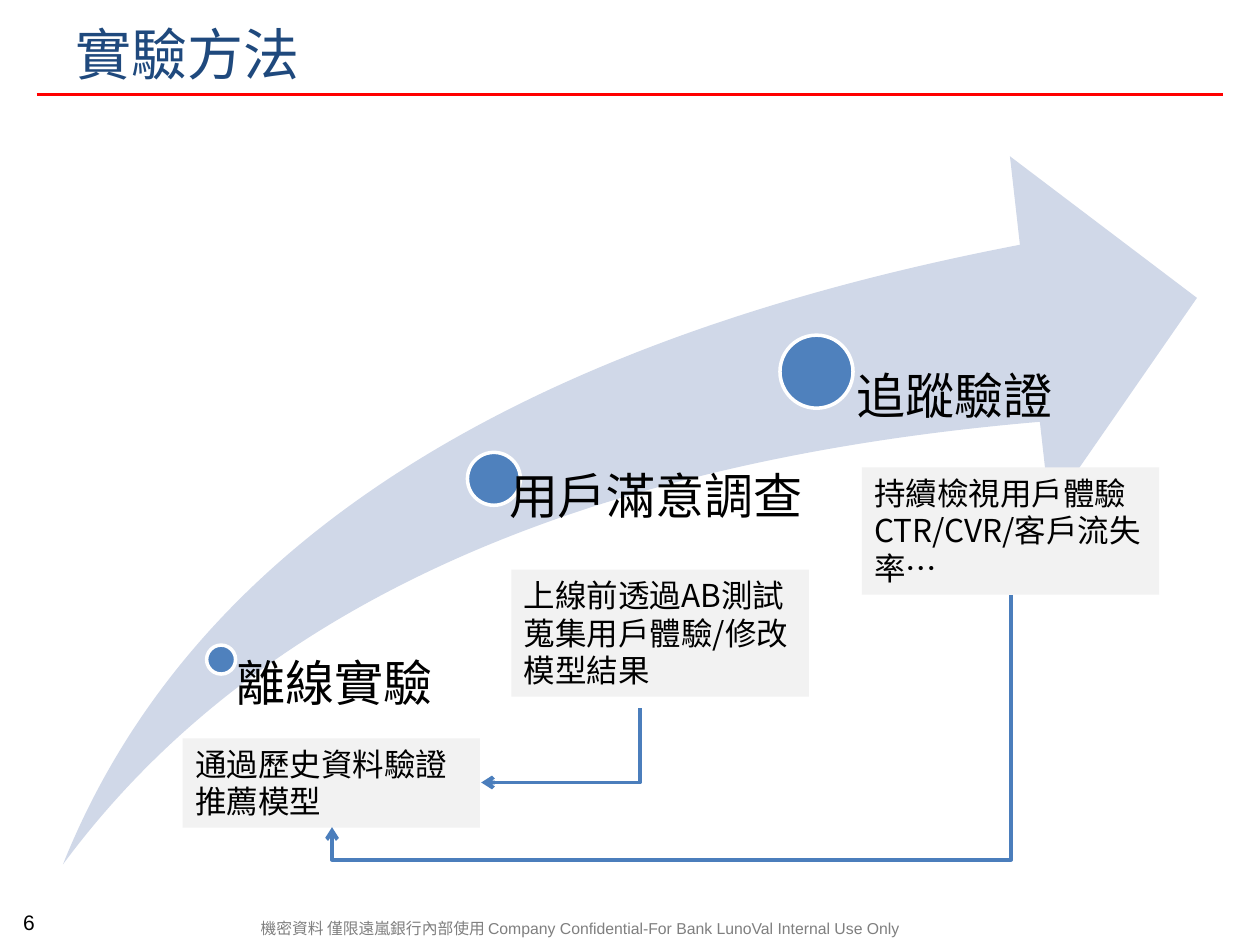
import pptx
import pptx.util
import pptx.dml.color
import pptx.enum.shapes
import pptx.enum.text
import pptx.oxml.ns
import pptx.oxml.xmlchemy

Inches = pptx.util.Inches
Pt = pptx.util.Pt
KIND = pptx.enum.shapes.MSO_SHAPE
LINK = pptx.enum.shapes.MSO_CONNECTOR
ANCHOR = pptx.enum.text.MSO_ANCHOR
ALIGN = pptx.enum.text.PP_ALIGN
qn = pptx.oxml.ns.qn

HUES = {
    "title": "1F497D", "rule": "FF0000", "swoosh": "D0D8E8", "dot": "4F81BD",
    "ring": "FFFFFF", "note": "F2F2F2", "link": "4B7EBC", "text": "000000",
    "foot": "7F7F7F",
}
CJK = "Noto Sans CJK SC"
NOTE = (2.36, 1.01)

STEPS = [
    ("離線實驗", (1.64, 5.12, 0.23), (1.76, 5.23, 2.1, 1.63), 0.12),
    ("用戶滿意調查", (3.71, 3.59, 0.42), (3.82, 3.75, 2.99, 3.06), 0.22),
    ("追蹤驗證", (6.19, 2.66, 0.58), (6.49, 2.95, 2.16, 3.91), 0.31),
]
NOTES = [
    (["通過歷史資料驗證推薦模型"], (1.45, 5.86, NOTE[0], 0.71)),
    (["上線前透過AB測試蒐集用戶體驗/修改模型結果"], (4.06, 4.52, *NOTE)),
    (["持續檢視用戶體驗", "CTR/CVR/客戶流失率…"], (6.84, 3.71, *NOTE)),
]


def rgb(name):
    return pptx.dml.color.RGBColor.from_string(HUES[name])


def assign(target, values):
    for key, value in values.items():
        setattr(target, key, value)


def node(tag, **values):
    item = pptx.oxml.xmlchemy.OxmlElement(tag)
    for key, value in values.items():
        item.set(key, value)
    return item


def write(shape, lines, size, hue="text", font=CJK, inset=(0.1, 0.05, 0.1, 0.05),
          anchor=ANCHOR.TOP, align=ALIGN.LEFT, space=None):
    frame = shape.text_frame
    left, top, right, base = map(Inches, inset)
    assign(frame, {
        "word_wrap": True, "vertical_anchor": anchor, "margin_left": left,
        "margin_top": top, "margin_right": right, "margin_bottom": base,
    })
    for i, line in enumerate(lines):
        para = frame.add_paragraph() if i else frame.paragraphs[0]
        assign(para, {"alignment": align, "line_spacing": space})
        run = para.add_run()
        run.text = line
        assign(run.font, {"size": Pt(size), "name": font})
        run.font.color.rgb = rgb(hue)
        run.font._element.find(qn("a:latin")).addnext(node("a:ea", typeface=CJK))


def label(slide, box, lines, size, **style):
    write(slide.shapes.add_textbox(*map(Inches, box)), lines, size, **style)


def solid(slide, kind, box, hue, ring=None):
    shape = slide.shapes.add_shape(kind, *map(Inches, box))
    shape.shadow.inherit = False
    shape.fill.solid()
    shape.fill.fore_color.rgb = rgb(hue)
    if ring:
        shape.line.color.rgb = rgb(ring)
        shape.line.width = Pt(2)
    else:
        shape.line.fill.background()
    return shape


def link(slide, kind, ends, hue, width):
    line = slide.shapes.add_connector(kind, *map(Inches, ends))
    line.line.color.rgb = rgb(hue)
    line.line.width = Pt(width)
    line._element.spPr.append(node("a:effectLst"))
    return line


def elbow(slide, ends, bend, turn=0):
    line = link(slide, LINK.ELBOW, ends, "link", 2.25)
    props = line._element.spPr
    props.find(qn("a:xfrm")).set("rot", str(turn * 60000))
    guide = node("a:gd", name="adj1", fmla=f"val {round(bend * 100000)}")
    props.find(qn("a:prstGeom")).get_or_add_avLst().append(guide)
    props.find(qn("a:ln")).append(node("a:tailEnd", type="arrow"))


def main():
    deck = pptx.Presentation()
    assign(deck, {"slide_width": Inches(10), "slide_height": Inches(7.5)})
    slide = deck.slides.add_slide(deck.slide_layouts[6])

    label(slide, (1.97, 7.25, 5.7, 0.24),
          ["機密資料 僅限遠嵐銀行內部使用 Company Confidential-For Bank LunoVal Internal Use Only"],
          9, hue="foot", font="Arial", anchor=ANCHOR.MIDDLE, space=Pt(10))
    link(slide, LINK.STRAIGHT, (0.29, 0.75, 9.71, 0.75), "rule", 1.25)
    label(slide, (0.01, 7.22, 0.44, 0.25), ["6"], 12, font="Arial",
          anchor=ANCHOR.BOTTOM, align=ALIGN.CENTER, space=Pt(10.2))

    swoosh = solid(slide, KIND.SWOOSH_ARROW, (0.5, 1.24, 9, 5.62), "swoosh")
    for i in range(2):
        swoosh.adjustments[i] = 0.25
    for name, (left, top, size), box, inset in STEPS:
        solid(slide, KIND.OVAL, (left, top, size, size), "dot", "ring")
        label(slide, box, [name], 28, inset=(inset, 0, 0, 0), space=0.9)

    label(slide, (0.5, 0.13, 9, 0.58), ["實驗方法"], 32, hue="title",
          anchor=ANCHOR.MIDDLE)
    for lines, box in NOTES:
        write(solid(slide, KIND.RECTANGLE, box, "note"), lines, 18)

    elbow(slide, (5.08, 5.62, 3.82, 6.21), 0)
    elbow(slide, (4.41, 2.95, 6.25, 8.34), 1.14, 90)
    deck.save("out.pptx")


if __name__ == "__main__":
    main()
